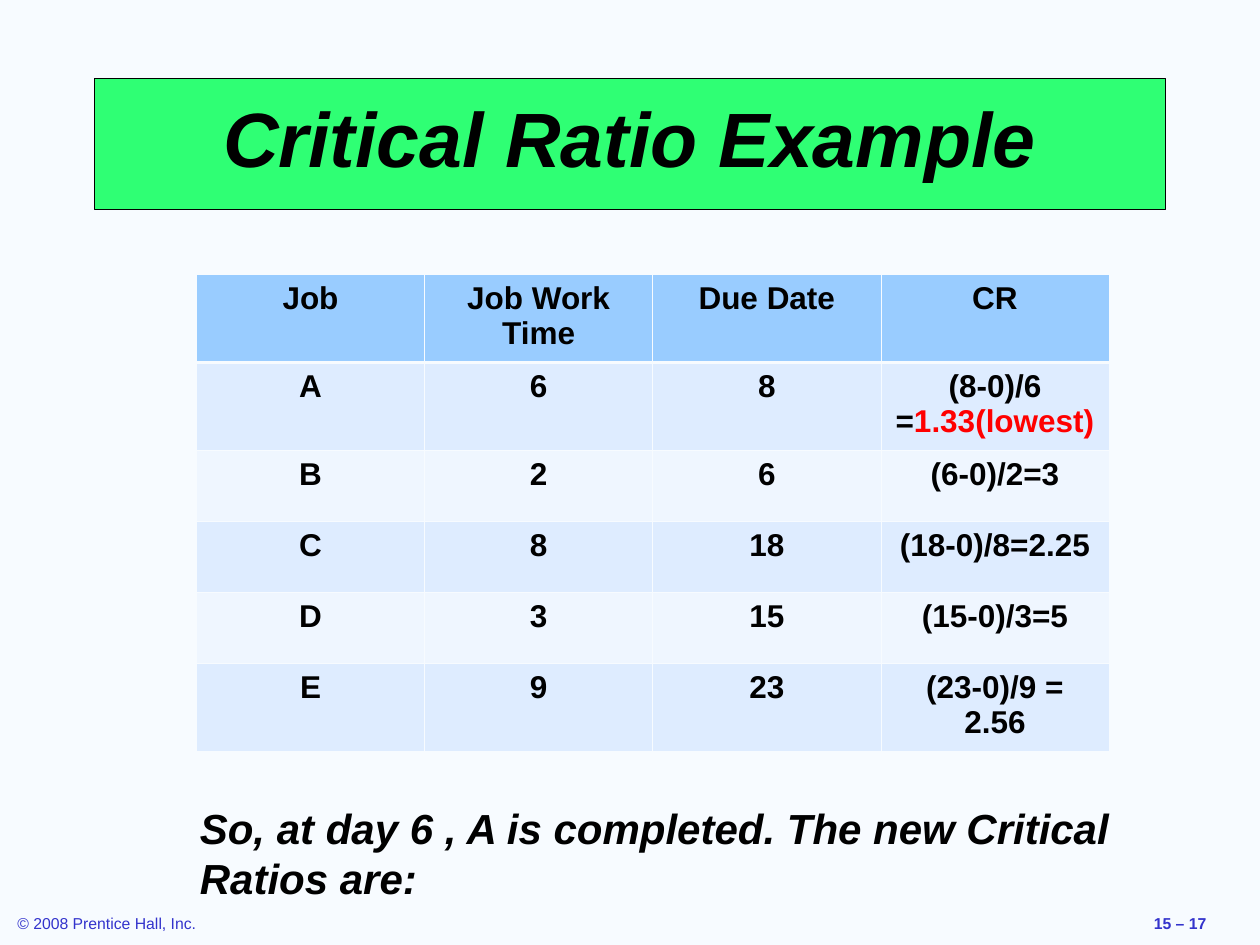
from dataclasses import dataclass

from lxml import etree
from pptx import Presentation
from pptx import util as u
from pptx.dml.color import RGBColor
from pptx.enum import shapes, text
from pptx.oxml.ns import qn

FONT = "Arial"
COLORS = {
    "background": "F7FBFF",
    "title": "2FFF74",
    "text": "000000",
    "footer": "3333CC",
    "highlight": "FF0000",
    "header": "99CCFF",
    "odd_row": "DEECFF",
    "even_row": "EFF6FF",
}
THIN, THICK = 0.45, 1.47  # table rules in points


@dataclass
class TextBox:
    content: str
    left: float
    top: float
    width: float
    height: float
    size: float
    color: str = "text"
    bold: bool = False
    italic: bool = False
    wrap: bool = False


TEXT_BOXES = [
    TextBox("© 2008 Prentice Hall, Inc.", 0.1, 18.29, 4.11, 0.64, 9, "footer"),
    TextBox("15 – 17", 23.01, 18.29, 2.74, 0.64, 9, "footer", bold=True),
    TextBox("So, at day 6 , A is completed. The new Critical Ratios are:",
            3.78, 16.05, 18.87, 2.29, 24, bold=True, italic=True, wrap=True),
]

# A cell is a list of (text, color) runs or a plain string
JOBS = [
    ["Job", "Job Work Time", "Due Date", "CR"],
    ["A", "6", "8", [("(8-0)/6 =", "text"), ("1.33(lowest)", "highlight")]],
    ["B", "2", "6", "(6-0)/2=3"],
    ["C", "8", "18", "(18-0)/8=2.25"],
    ["D", "3", "15", "(15-0)/3=5"],
    ["E", "9", "23", "(23-0)/9 = 2.56"],
]
COLUMN_WIDTH = 4.6
ROW_HEIGHTS = [1.77, 1.77, 1.43, 1.43, 1.43, 1.77]


def rgb(name: str) -> RGBColor:
    return RGBColor.from_string(COLORS[name])


def format_run(run, size: float, color: str, bold: bool, italic: bool = False) -> None:
    font = run.font
    font.name, font.size = FONT, u.Pt(size)
    font.bold, font.italic = bold, italic
    font.color.rgb = rgb(color)


def add_text_box(slide, box: TextBox) -> None:
    shape = slide.shapes.add_textbox(u.Cm(box.left), u.Cm(box.top), u.Cm(box.width), u.Cm(box.height))
    shape.text_frame.word_wrap = box.wrap
    paragraph = shape.text_frame.paragraphs[0]
    paragraph.text = box.content
    format_run(paragraph.runs[0], box.size, box.color, box.bold, box.italic)


def add_title(slide, content: str) -> None:
    shape = slide.shapes.add_shape(shapes.MSO_SHAPE.RECTANGLE,
                                   u.Cm(1.9), u.Cm(1.58), u.Cm(21.6), u.Cm(2.64))
    shape.shadow.inherit = False
    shape.fill.solid()
    shape.fill.fore_color.rgb = rgb("title")
    shape.line.color.rgb = rgb("text")
    shape.line.width = u.Pt(0.75)
    shape.text_frame.vertical_anchor = text.MSO_ANCHOR.MIDDLE
    paragraph = shape.text_frame.paragraphs[0]
    paragraph.text = content
    paragraph.alignment = text.PP_ALIGN.CENTER
    paragraph.line_spacing = 0.85
    format_run(paragraph.runs[0], 44, "text", True, True)


def set_borders(cell, top: float, bottom: float) -> None:
    properties = cell._tc.get_or_add_tcPr()
    widths = {"a:lnL": THIN, "a:lnR": THIN, "a:lnT": top, "a:lnB": bottom}
    for position, (tag, width) in enumerate(widths.items()):
        line = etree.Element(qn(tag), w=str(u.Pt(width)))
        fill = etree.SubElement(line, qn("a:solidFill"))
        etree.SubElement(fill, qn("a:srgbClr"), val=COLORS["background"])
        properties.insert(position, line)  # borders precede the fill


def fill_cell(cell, content, fill: str) -> None:
    cell.fill.solid()
    cell.fill.fore_color.rgb = rgb(fill)
    paragraph = cell.text_frame.paragraphs[0]
    paragraph.alignment = text.PP_ALIGN.CENTER
    parts = [(content, "text")] if isinstance(content, str) else content
    for part, color in parts:
        run = paragraph.add_run()
        run.text = part
        format_run(run, 18, color, True)


def add_job_table(slide) -> None:
    columns = len(JOBS[0])
    frame = slide.shapes.add_table(len(JOBS), columns, u.Cm(3.96), u.Cm(5.54),
                                   u.Cm(COLUMN_WIDTH * columns), u.Cm(sum(ROW_HEIGHTS)))
    table = frame.table
    for column in table.columns:
        column.width = u.Cm(COLUMN_WIDTH)
    for index, (row, height) in enumerate(zip(JOBS, ROW_HEIGHTS)):
        table.rows[index].height = u.Cm(height)
        fill = "header" if index == 0 else ("odd_row" if index % 2 else "even_row")
        for column, content in enumerate(row):
            cell = table.cell(index, column)
            fill_cell(cell, content, fill)
            set_borders(cell, THICK if index == 1 else THIN, THICK if index == 0 else THIN)


def main() -> None:
    presentation = Presentation()
    presentation.slide_width, presentation.slide_height = u.Cm(25.4), u.Cm(19.05)
    slide = presentation.slides.add_slide(presentation.slide_layouts[6])
    slide.background.fill.solid()
    slide.background.fill.fore_color.rgb = rgb("background")

    # Title, job table, then footer and conclusion
    add_title(slide, "Critical Ratio Example")
    add_job_table(slide)
    for box in TEXT_BOXES:
        add_text_box(slide, box)
    presentation.save("out.pptx")


if __name__ == "__main__":
    main()
